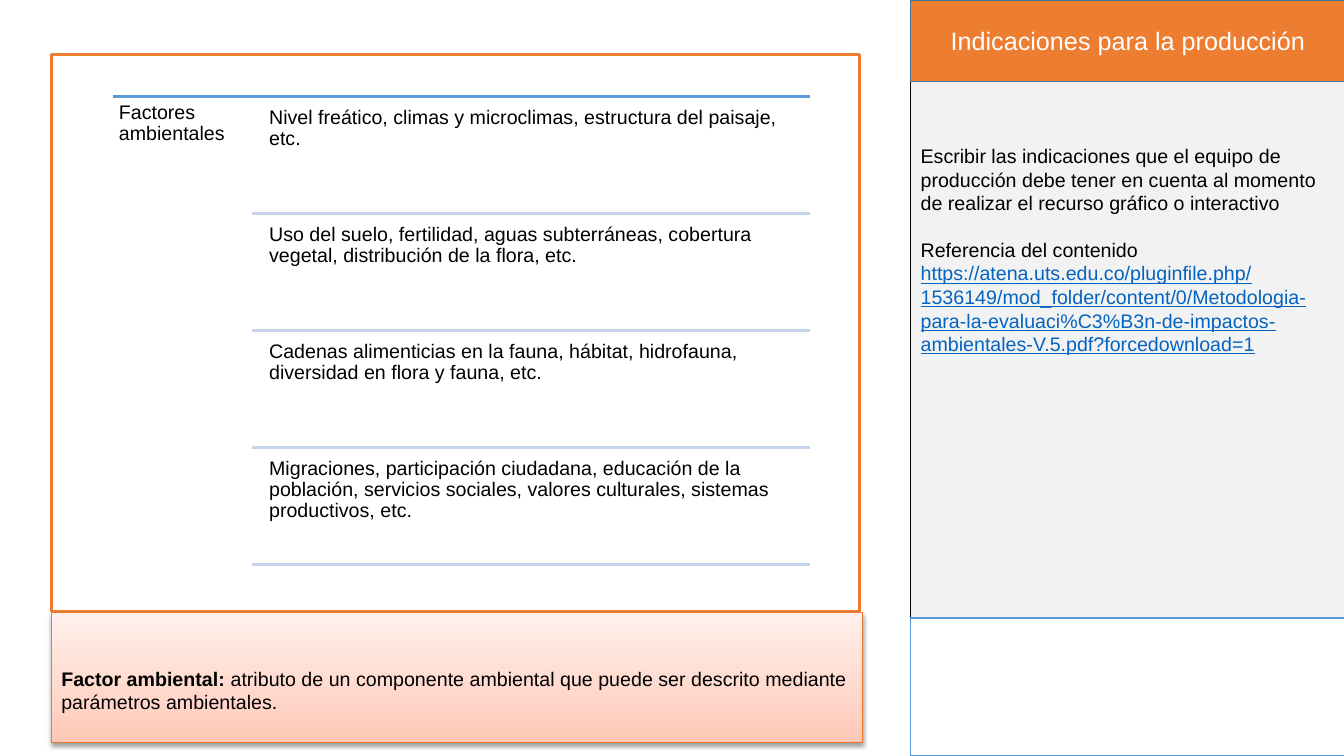
from lxml import etree
from pptx import Presentation
from pptx import util as u
from pptx.dml import color
from pptx.enum import shapes, text
from pptx.oxml import parse_xml
from pptx.oxml.ns import nsdecls, qn

COLORS = {
    "ink": "000000", "white": "FFFFFF", "grey": "F2F2F2", "orange": "ED7D31",
    "header_line": "42719B", "blue": "5B9BD5", "pale_blue": "C4D5EB",
    "link": "0563C1", "note_line": "EC792B",
}
NOTE_STOPS = [(0, "FFC7B6"), (35, "FFD7CB"), (100, "FFF0EB")]
COLUMNS, ROWS = 40, 30

FACTORS = [
    "Nivel freático, climas y microclimas, estructura del paisaje, etc.",
    "Uso del suelo, fertilidad, aguas subterráneas, cobertura vegetal, "
    "distribución de la flora, etc.",
    "Cadenas alimenticias en la fauna, hábitat, hidrofauna, "
    "diversidad en flora y fauna, etc.",
    "Migraciones, participación ciudadana, educación de la población, "
    "servicios sociales, valores culturales, sistemas productivos, etc.",
]
GUIDANCE = [
    [("Escribir las indicaciones que el equipo de producción debe tener en cuenta "
      "al momento de realizar el recurso gráfico o interactivo", {})],
    [("Referencia del contenido", {})],
    [("https://atena.uts.edu.co/pluginfile.php/1536149/mod_folder/content/0/"
      "Metodologia-para-la-evaluaci%C3%B3n-de-impactos-ambientales-V.5.pdf"
      "?forcedownload=1", {"tone": "link", "underline": True})],
]
DEFINITION = [[
    ("Factor ambiental:", {"bold": True}),
    (" atributo de un componente ambiental que puede ser descrito mediante "
     "parámetros ambientales.", {}),
]]


def rgb(name):
    return color.RGBColor.from_string(COLORS[name])


def write(frame, paragraphs, size=14, tone="ink", align=text.PP_ALIGN.LEFT,
          anchor=text.MSO_ANCHOR.TOP, spacing=1.0, gaps=(), insets=(0.1, 0.05, 0.1, 0.05)):
    """Fill a text frame; gaps gives the space before each paragraph in points."""
    frame.word_wrap = True
    frame.auto_size = text.MSO_AUTO_SIZE.NONE
    frame.vertical_anchor = anchor
    (frame.margin_left, frame.margin_top,
     frame.margin_right, frame.margin_bottom) = map(u.Inches, insets)
    for index, spans in enumerate(paragraphs):
        para = frame.paragraphs[0] if index == 0 else frame.add_paragraph()
        properties = para._p.get_or_add_pPr()
        properties.set("marL", "0")
        properties.set("indent", "0")
        etree.SubElement(properties, qn("a:buNone"))
        para.alignment = align
        para.line_spacing = spacing
        para.space_before = u.Pt(gaps[index] if gaps else 0)
        para.space_after = u.Pt(0)
        for words, style in spans:
            span = para.add_run()
            span.text = words
            span.font.name = "Arial"
            span.font.size = u.Pt(size)
            span.font.bold = style.get("bold", False)
            span.font.underline = style.get("underline", False)
            span.font.color.rgb = rgb(style.get("tone", tone))


class SlideBuilder:
    """Places elements on a grid of COLUMNS by ROWS."""

    def __init__(self, deck):
        self.page = deck.slides.add_slide(deck.slide_layouts[1])
        self.column = deck.slide_width / COLUMNS
        self.row = deck.slide_height / ROWS

    def place(self, left, top, width, height):
        return (round(left * self.column), round(top * self.row),
                round(width * self.column), round(height * self.row))

    def paint(self, box, fill, line, weight):
        box.fill.solid()
        box.fill.fore_color.rgb = rgb(fill)
        box.line.color.rgb = rgb(line)
        box.line.width = u.Pt(weight)

    def panel(self, area, fill, line, weight=1):
        box = self.page.shapes.add_shape(shapes.MSO_SHAPE.RECTANGLE, *self.place(*area))
        box.shadow.inherit = False
        self.paint(box, fill, line, weight)
        return box

    def placeholder(self, index, area, paragraphs, **style):
        box = self.page.placeholders[index]
        box.left, box.top, box.width, box.height = self.place(*area)
        self.page.shapes.element.append(box.element)  # bring to front
        write(box.text_frame, paragraphs, **style)
        return box

    def label(self, area, words):
        box = self.page.shapes.add_textbox(*self.place(*area))
        write(box.text_frame, [[(words, {})]], spacing=0.9, insets=(0.06,) * 4)

    def rule(self, left, right, top, tone):
        x1, y, x2, _ = self.place(left, top, right, 0)
        line = self.page.shapes.add_connector(shapes.MSO_CONNECTOR.STRAIGHT, x1, y, x2, y)
        line.line.color.rgb = rgb(tone)
        line.line.width = u.Pt(2)
        etree.SubElement(line.element.spPr, qn("a:effectLst"))

    def note(self, area, paragraphs):
        box = self.panel(area, "white", "note_line", 0.75)
        properties = box.element.spPr
        stops = "".join(f'<a:gs pos="{share * 1000}"><a:srgbClr val="{tone}"/></a:gs>'
                        for share, tone in NOTE_STOPS)
        gradient = parse_xml(f'<a:gradFill {nsdecls("a")}><a:gsLst>{stops}</a:gsLst>'
                             '<a:lin ang="16200000" scaled="0"/></a:gradFill>')
        properties.replace(properties.find(qn("a:solidFill")), gradient)
        shadow = parse_xml(
            f'<a:outerShdw {nsdecls("a")} blurRad="{u.Pt(3.1)}" dist="{u.Pt(1.6)}" '
            'dir="5400000" rotWithShape="0"><a:srgbClr val="000000">'
            '<a:alpha val="38000"/></a:srgbClr></a:outerShdw>')
        properties.find(qn("a:effectLst")).append(shadow)
        write(box.text_frame, paragraphs, anchor=text.MSO_ANCHOR.MIDDLE,
              insets=(0.1, 0.29, 0.1, 0.05))


def main():
    deck = Presentation()
    deck.slide_width, deck.slide_height = u.Inches(13.33), u.Inches(7.5)
    slide = SlideBuilder(deck)

    # Production sidebar
    side, side_width = 27.1, 12.93
    slide.panel((side, 0, side_width, ROWS), "grey", "ink")
    slide.placeholder(1, (side, 5.52, 12.99, 13.2), GUIDANCE, gaps=(0, 16.5, 0))
    header = slide.placeholder(
        0, (side, 0, side_width, 3.24), [[("Indicaciones para la producción", {})]],
        size=18, tone="white", align=text.PP_ALIGN.CENTER, anchor=text.MSO_ANCHOR.MIDDLE)
    slide.paint(header, "orange", "header_line", 1)
    slide.panel((side, 24.52, 12.96, 5.48), "white", "blue")

    # Content frame and definition
    slide.panel((1.53, 2.16, 24.06, 22.12), "white", "orange", 2)
    slide.note((1.53, 24.32, 24.15, 5.16), DEFINITION)

    # Environmental factors, one per equal step
    left, right, top, step = 3.36, 24.1, 3.84, 4.64
    slide.rule(left, right, top, "blue")
    slide.label((left, top, 4.14, 18.8), "Factores ambientales")
    for index, factor in enumerate(FACTORS):
        start = top + index * step
        slide.label((7.83, start + 0.2, 16.29, 4.44), factor)
        slide.rule(7.5, right, start + step, "pale_blue")

    deck.save("out.pptx")


if __name__ == "__main__":
    main()
